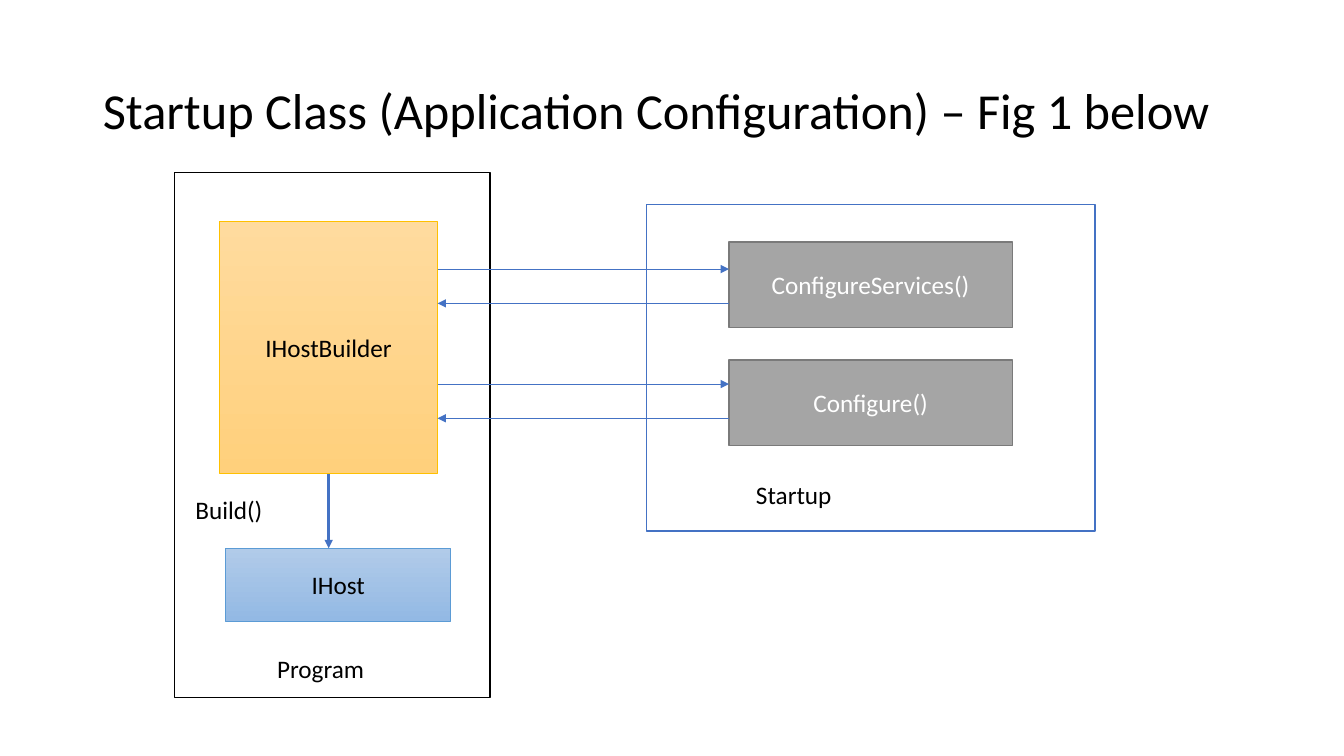
from dataclasses import dataclass

from lxml.etree import SubElement
from pptx import Presentation
from pptx.dml.color import RGBColor
from pptx.enum.shapes import MSO_CONNECTOR, MSO_SHAPE
from pptx.enum.text import MSO_ANCHOR, MSO_AUTO_SIZE, PP_ALIGN
from pptx.oxml.ns import qn
from pptx.util import Pt

PX = 9144  # EMU per px, 100 px to the inch


@dataclass(frozen=True)
class Theme:
    font: str = "Calibri"
    title_size: int = 36
    body_size: int = 18
    black: str = "000000"
    white: str = "FFFFFF"
    blue: str = "4472C4"
    gray: str = "A5A5A5"
    gray_edge: str = "7A7A7A"
    gold: tuple = ("FFDB9E", "FFD07C")
    gold_edge: str = "FFC000"
    sky: tuple = ("B1CBE9", "93B9E4")
    sky_edge: str = "5B9BD5"


THEME = Theme()


def px(*lengths):
    return [length * PX for length in lengths]


def write(frame, text, size=THEME.body_size, color=THEME.black,
          align=PP_ALIGN.LEFT, anchor=MSO_ANCHOR.TOP, spacing=None):
    frame.word_wrap = True
    frame.vertical_anchor = anchor
    para = frame.paragraphs[0]
    para.alignment = align
    para.line_spacing = spacing
    span = para.add_run()
    span.text = text
    span.font.name = THEME.font
    span.font.size = Pt(size)
    span.font.color.rgb = RGBColor.from_string(color)


def add_box(page, left, top, width, height, fill, edge, weight=1,
            text=None, color=THEME.black):
    """Rectangle; a pair of colours as fill gives a downward gradient."""
    box = page.shapes.add_shape(MSO_SHAPE.RECTANGLE,
                                *px(left, top, width, height))
    box.shadow.inherit = False
    if isinstance(fill, tuple):
        box.fill.gradient()
        box.fill.gradient_angle = 270
        for stop, shade in zip(box.fill.gradient_stops, fill):
            stop.color.rgb = RGBColor.from_string(shade)
    else:
        box.fill.solid()
        box.fill.fore_color.rgb = RGBColor.from_string(fill)
    box.line.color.rgb = RGBColor.from_string(edge)
    box.line.width = Pt(weight)
    if text:
        write(box.text_frame, text, color=color,
              align=PP_ALIGN.CENTER, anchor=MSO_ANCHOR.MIDDLE)
    return box


def add_label(page, left, top, width, text):
    label = page.shapes.add_textbox(*px(left, top, width, 40))
    write(label.text_frame, text)
    label.text_frame.auto_size = MSO_AUTO_SIZE.SHAPE_TO_FIT_TEXT


def add_arrow(page, x1, y1, x2, y2, weight=0.5):
    arrow = page.shapes.add_connector(MSO_CONNECTOR.STRAIGHT,
                                      *px(x1, y1, x2, y2))
    arrow.line.color.rgb = RGBColor.from_string(THEME.blue)
    arrow.line.width = Pt(weight)
    SubElement(arrow.line._get_or_add_ln(), qn("a:tailEnd"), type="triangle")
    SubElement(arrow._element.spPr, qn("a:effectLst"))
    return arrow


def add_title(page, left, top, width, height, text):
    title = page.shapes.title
    title.left, title.top, title.width, title.height = px(
        left, top, width, height)
    write(title.text_frame, text, size=THEME.title_size,
          anchor=MSO_ANCHOR.MIDDLE, spacing=0.9)


def add_program(page, left, top, width, height):
    """Host builder, its Build() step and the resulting host."""
    add_box(page, left, top, width, height, THEME.white, THEME.black)
    builder = add_box(page, left + 45, top + 49, 216, 250, THEME.gold,
                      THEME.gold_edge, 0.5, "IHostBuilder")
    add_box(page, left + 51, top + 373, 223, 72, THEME.sky,
            THEME.sky_edge, 0.5, "IHost")
    center = left + 45 + 216 // 2
    build = add_arrow(page, center, top + 299, center, top + 373, weight=2)
    build.begin_connect(builder, 2)
    add_label(page, left + 92, top + 472, 210, "Program")
    add_label(page, left + 11, top + 315, 210, "Build()")


def add_startup(page, left, top, width, height):
    """Startup class with its two methods."""
    add_box(page, left, top, width, height, THEME.white, THEME.blue)
    for row, method in enumerate(("ConfigureServices()", "Configure()")):
        add_box(page, left + 82, top + 37 + row * 117, 281, 85, THEME.gray,
                THEME.gray_edge, text=method, color=THEME.white)
    add_label(page, left + 99, top + 268, 236, "Startup")


def add_calls(page, left, top, width, height):
    """Call and return arrows, one pair for each method."""
    gap = 34
    right = left + width
    for y in (top, top + height - gap):
        add_arrow(page, left, y, right, y)
        add_arrow(page, right, y + gap, left, y + gap)


def main():
    deck = Presentation()
    deck.slide_width, deck.slide_height = px(1333, 750)
    page = deck.slides.add_slide(deck.slide_layouts[5])  # title only
    add_title(page, 92, 40, 1150, 145,
              "Startup Class (Application Configuration) – Fig 1 below")
    add_program(page, 173, 171, 313, 521)
    add_startup(page, 641, 203, 445, 324)
    add_calls(page, 434, 267, 289, 148)
    deck.save("out.pptx")


if __name__ == "__main__":
    main()
